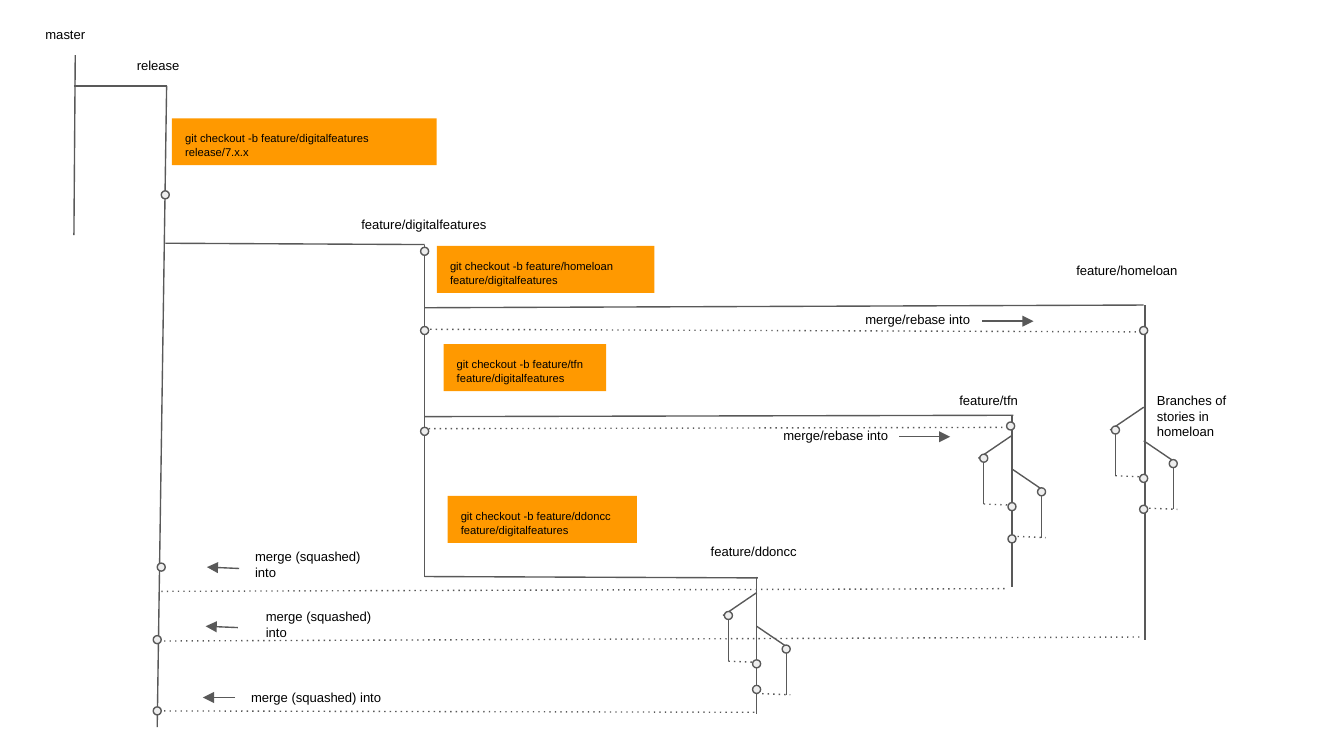
"""Build a slide showing how feature branches fork from and merge back to release."""
from dataclasses import dataclass
from lxml.etree import SubElement
from pptx import Presentation
from pptx.dml.color import RGBColor
from pptx.enum.shapes import MSO_CONNECTOR as CONNECTOR, MSO_SHAPE as SHAPE
from pptx.enum.text import MSO_ANCHOR as ANCHOR, MSO_AUTO_SIZE as AUTO_SIZE, PP_ALIGN as ALIGN
from pptx.oxml.ns import qn
from pptx.util import Inches, Pt


@dataclass(frozen=True)
class Theme:
    font: str = "Arial"
    ink: RGBColor = RGBColor(0x00, 0x00, 0x00)
    line: RGBColor = RGBColor(0x59, 0x59, 0x59)
    commit: RGBColor = RGBColor(0xEE, 0xEE, 0xEE)
    command: RGBColor = RGBColor(0xFF, 0x99, 0x00)
    label_size: Pt = Pt(7)
    command_size: Pt = Pt(6)
    line_width: Pt = Pt(0.75)


theme = Theme()
presentation = Presentation()
presentation.slide_width, presentation.slide_height = Inches(10), Inches(10 * 9 / 16)
slide = presentation.slides.add_slide(presentation.slide_layouts[6])


def add_line(start_x, start_y, end_x, end_y, dotted=False, arrow=False):
    ends = [Inches(value) for value in (start_x, start_y, end_x, end_y)]
    connector = slide.shapes.add_connector(CONNECTOR.STRAIGHT, *ends)
    connector.line.color.rgb = theme.line
    connector.line.width = theme.line_width
    outline = connector._element.spPr.find(qn("a:ln"))
    if dotted:
        SubElement(outline, qn("a:prstDash"), val="dot")
    if arrow:
        SubElement(outline, qn("a:tailEnd"), type="triangle")
    SubElement(connector._element.spPr, qn("a:effectLst"))


def write_text(shape, text, size):
    frame = shape.text_frame
    settings = {"word_wrap": True, "auto_size": AUTO_SIZE.NONE, "vertical_anchor": ANCHOR.TOP}
    settings.update({f"margin_{side}": Inches(0.1) for side in ("left", "top", "right", "bottom")})
    for name, value in settings.items():
        setattr(frame, name, value)
    paragraph = frame.paragraphs[0]
    paragraph.alignment = ALIGN.LEFT
    run = paragraph.add_run()
    run.text = text
    for name, value in {"name": theme.font, "size": size}.items():
        setattr(run.font, name, value)
    run.font.color.rgb = theme.ink


branches = [
    (0.56, 0.41, 0.55, 1.75),
    (0.55, 0.64, 1.24, 0.64),
    (1.24, 0.64, 1.17, 5.41),
    (1.23, 1.81, 3.16, 1.82),
    (3.16, 1.82, 3.16, 4.29),
    (3.16, 2.29, 8.51, 2.27),
    (8.52, 2.27, 8.52, 4.76),
    (3.16, 3.1, 7.54, 3.09),
    (7.53, 3.09, 7.53, 4.37),
    (3.16, 4.29, 5.64, 4.3),
    (5.63, 4.29, 5.63, 5.31),
]
for branch in branches:
    add_line(*branch)

merges = [
    (3.16, 2.45, 8.51, 2.47),
    (3.19, 3.19, 7.52, 3.18),
    (1.2, 4.4, 7.5, 4.38),
    (1.18, 4.77, 8.5, 4.74),
    (1.18, 5.29, 5.62, 5.3),
]
for merge in merges:
    add_line(*merge, dotted=True)

arrows = [
    (7.31, 2.39, 7.69, 2.39),
    (6.69, 3.25, 7.07, 3.25),
    (1.78, 4.23, 1.54, 4.22),
    (1.77, 4.67, 1.53, 4.66),
    (1.75, 5.19, 1.51, 5.19),
]
for arrow in arrows:
    add_line(*arrow, arrow=True)

commits = [
    (1.23, 1.45), (3.16, 1.87), (3.16, 2.46), (8.51, 2.46), (3.16, 3.21),
    (7.52, 3.17), (1.2, 4.22), (1.17, 4.76), (1.17, 5.29),
]

story_forks = [(8.51, 3.03, 0.76), (7.53, 3.24, 0.77), (5.63, 4.41, 0.72)]
for x, y, last_merge in story_forks:
    add_line(x, y, x - 0.25, y + 0.17)
    add_line(x - 0.21, y + 0.17, x - 0.21, y + 0.51)
    add_line(x - 0.21, y + 0.51, x + 0.03, y + 0.52, dotted=True)
    add_line(x, y + 0.25, x + 0.25, y + 0.42)
    add_line(x + 0.22, y + 0.42, x + 0.22, y + 0.76)
    add_line(x, y + 0.75, x + 0.25, y + 0.76, dotted=True)
    commits += [(x - 0.21, y + 0.17), (x + 0.22, y + 0.42), (x, y + 0.53), (x, y + last_merge)]

commit_size = 0.06
for x, y in commits:
    box = [Inches(v) for v in (x - commit_size / 2, y - commit_size / 2, commit_size, commit_size)]
    commit = slide.shapes.add_shape(SHAPE.OVAL, *box)
    commit.shadow.inherit = False
    commit.fill.solid()
    commit.fill.fore_color.rgb = theme.commit
    commit.line.color.rgb = theme.line
    commit.line.width = theme.line_width

commands = [
    ("git checkout -b feature/digitalfeatures release/7.x.x", 1.28, 0.88, 1.97),
    ("git checkout -b feature/homeloan feature/digitalfeatures", 3.25, 1.83, 1.62),
    ("git checkout -b feature/tfn feature/digitalfeatures", 3.3, 2.56, 1.21),
    ("git checkout -b feature/ddoncc feature/digitalfeatures", 3.33, 3.69, 1.41),
]
for text, left, top, width in commands:
    box = [Inches(value) for value in (left, top, width, 0.35)]
    command = slide.shapes.add_shape(SHAPE.RECTANGLE, *box)
    command.shadow.inherit = False
    command.fill.solid()
    command.fill.fore_color.rgb = theme.command
    command.line.fill.background()
    write_text(command, text, theme.command_size)

labels = [
    ("master", 0.24, 0.1, 0.63, 0.31),
    ("release", 0.92, 0.33, 0.63, 0.31),
    ("feature/digitalfeatures", 2.59, 1.51, 1.21, 0.31),
    ("feature/homeloan", 7.91, 1.85, 1.21, 0.31),
    ("feature/tfn", 7.04, 2.82, 0.87, 0.25),
    ("feature/ddoncc", 5.19, 3.94, 0.87, 0.25),
    ("Branches of stories in homeloan", 8.51, 2.82, 0.91, 0.39),
    ("merge/rebase into", 6.34, 2.22, 1.06, 0.25),
    ("merge/rebase into", 5.73, 3.08, 1.06, 0.25),
    ("merge (squashed) into", 1.8, 3.98, 1.06, 0.21),
    ("merge (squashed) into", 1.88, 4.43, 1.06, 0.21),
    ("merge (squashed) into", 1.77, 5.03, 1.53, 0.25),
]
for text, *box in labels:
    label = slide.shapes.add_textbox(*[Inches(value) for value in box])
    write_text(label, text, theme.label_size)

presentation.save("out.pptx")
